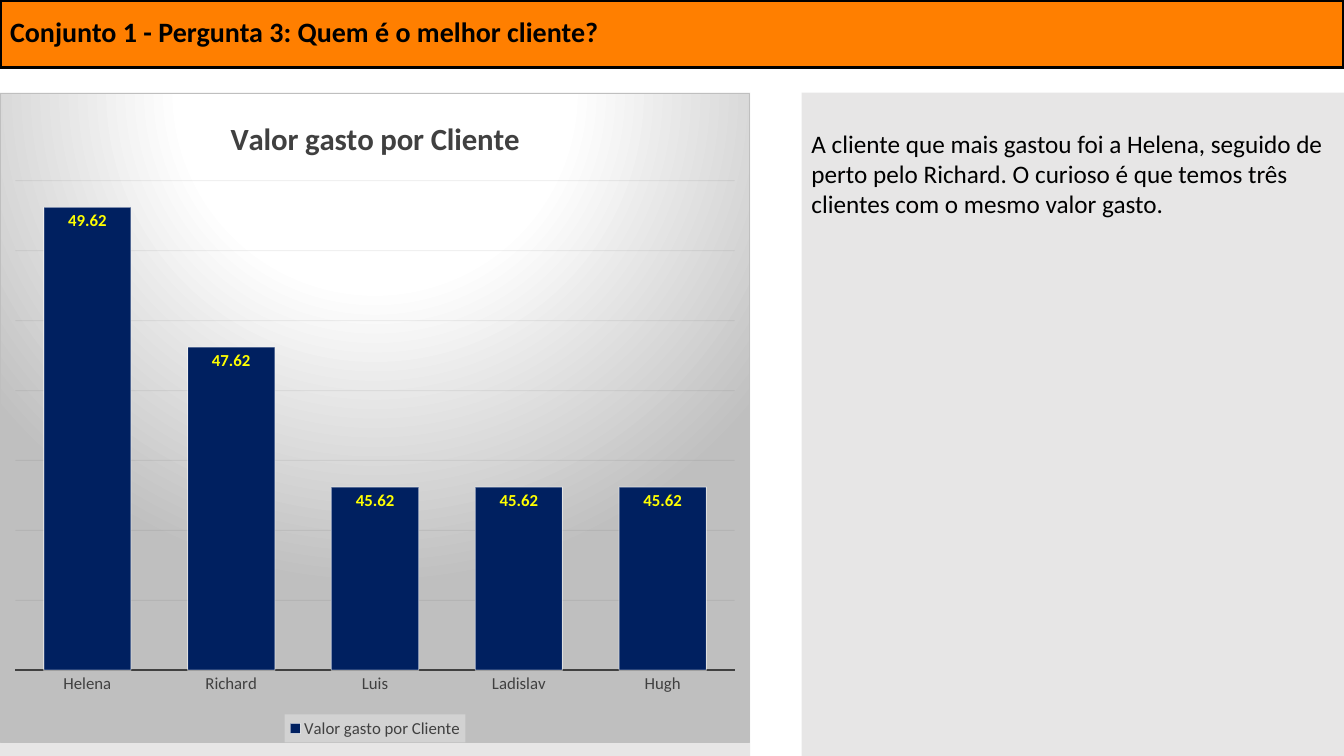
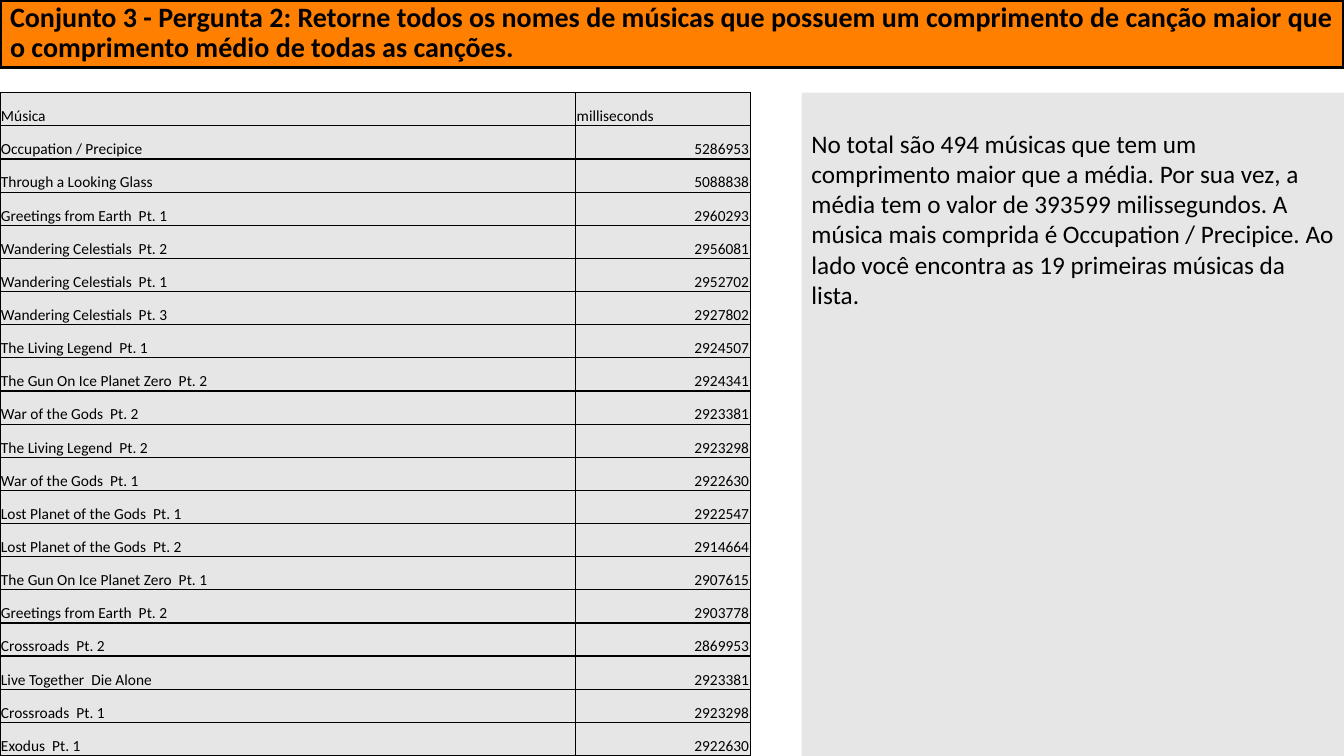
from lxml import etree
from pptx import Presentation
from pptx.chart.data import CategoryChartData
from pptx.dml.color import RGBColor
from pptx.enum.chart import XL_CHART_TYPE, XL_LABEL_POSITION, XL_LEGEND_POSITION, XL_TICK_MARK
from pptx.enum.shapes import MSO_SHAPE
from pptx.enum.text import MSO_ANCHOR, MSO_AUTO_SIZE, PP_ALIGN
from pptx.oxml import parse_xml
from pptx.oxml.ns import nsdecls, qn
from pptx.util import Inches, Pt

COLORS = {
    "band": "FF7F00",
    "panel": "E7E6E6",
    "ink": "000000",
    "axis": "404040",
    "grid": "0D0D0D",
    "bar": "002060",
    "label": "FFFF00",
    "white": "FFFFFF",
    "shade": "BFBFBF",
    "legend": "F2F2F2",
}
FONT = "Calibri"
SLIDE_WIDTH, SLIDE_HEIGHT = Inches(13.33), Inches(7.5)
BAND_BOX = (0, 0, SLIDE_WIDTH, Inches(0.67))
BODY_TOP = Inches(0.92)
BODY_HEIGHT = SLIDE_HEIGHT - BODY_TOP
DATA_BOX = (0, BODY_TOP, Inches(7.44), BODY_HEIGHT)
COMMENT_LEFT = Inches(7.95)
COMMENT_BOX = (COMMENT_LEFT, BODY_TOP, SLIDE_WIDTH - COMMENT_LEFT, BODY_HEIGHT)

SPENDING_TITLE = "Valor gasto por Cliente"
SPENDING = {"Helena": 49.62, "Richard": 47.62, "Luis": 45.62, "Ladislav": 45.62, "Hugh": 45.62}
SONGS = [
    ("Música", "milliseconds"),
    ("Occupation / Precipice", "5286953"),
    ("Through a Looking Glass", "5088838"),
    ("Greetings from Earth  Pt. 1", "2960293"),
    ("Wandering Celestials  Pt. 2", "2956081"),
    ("Wandering Celestials  Pt. 1", "2952702"),
    ("Wandering Celestials  Pt. 3", "2927802"),
    ("The Living Legend  Pt. 1", "2924507"),
    ("The Gun On Ice Planet Zero  Pt. 2", "2924341"),
    ("War of the Gods  Pt. 2", "2923381"),
    ("The Living Legend  Pt. 2", "2923298"),
    ("War of the Gods  Pt. 1", "2922630"),
    ("Lost Planet of the Gods  Pt. 1", "2922547"),
    ("Lost Planet of the Gods  Pt. 2", "2914664"),
    ("The Gun On Ice Planet Zero  Pt. 1", "2907615"),
    ("Greetings from Earth  Pt. 2", "2903778"),
    ("Crossroads  Pt. 2", "2869953"),
    ("Live Together  Die Alone", "2923381"),
    ("Crossroads  Pt. 1", "2923298"),
    ("Exodus  Pt. 1", "2922630"),
]


def rgb(name):
    """Return the named palette colour."""
    return RGBColor.from_string(COLORS[name])


def style_font(font, size, color, bold=False):
    """Apply the shared typeface with a size, colour and weight."""
    font.name, font.size, font.bold = FONT, Pt(size), bold
    font.color.rgb = rgb(color)


def paint(target, fill):
    """Fill a shape or chart part with a solid palette colour."""
    target.fill.solid()
    target.fill.fore_color.rgb = rgb(fill)


def style_line(line, color, width):
    """Set the colour and width of a line."""
    line.color.rgb = rgb(color)
    line.width = Pt(width)


def set_opacity(chart, xpath, percent):
    """Make the colours found in the chart partly transparent."""
    for color in chart.element.xpath(xpath + "//a:srgbClr"):
        etree.SubElement(color, qn("a:alpha"), val=str(percent * 1000))


def add_title_band(slide, question):
    """Turn the title placeholder into the orange question band."""
    band = slide.shapes.title
    band.left, band.top, band.width, band.height = BAND_BOX
    paint(band, "band")
    style_line(band.line, "ink", 2.25)
    frame = band.text_frame
    frame.text = question
    frame.word_wrap = True
    frame.auto_size = MSO_AUTO_SIZE.NONE
    frame.vertical_anchor = MSO_ANCHOR.MIDDLE
    heading = frame.paragraphs[0]
    heading.alignment = PP_ALIGN.LEFT
    heading.line_spacing = 0.9
    style_font(heading.runs[0].font, 20, "ink", True)


def add_panel(slide, box):
    """Draw a plain grey panel and return it."""
    panel = slide.shapes.add_shape(MSO_SHAPE.RECTANGLE, *box)
    panel.shadow.inherit = False
    paint(panel, "panel")
    panel.line.fill.background()
    return panel


def add_comment(slide, box, comment):
    """Write the answer in a grey panel."""
    frame = add_panel(slide, box).text_frame
    frame.text = comment
    frame.word_wrap = True
    frame.vertical_anchor = MSO_ANCHOR.TOP
    frame.margin_top = Inches(0.35)
    answer = frame.paragraphs[0]
    answer.alignment = PP_ALIGN.LEFT
    style_font(answer.runs[0].font, 18, "ink")


def add_chart_background(chart):
    """Give the chart area its radial gradient and border."""
    stops = "".join(
        f'<a:gs pos="{position * 1000}"><a:srgbClr val="{COLORS[name]}"/></a:gs>'
        for position, name in ((0, "white"), (39, "white"), (100, "shade"))
    )
    background = parse_xml(
        f'<c:spPr {nsdecls("c", "a")}><a:gradFill><a:gsLst>{stops}</a:gsLst>'
        '<a:path path="circle"><a:fillToRect l="50000" t="-80000" r="50000" b="180000"/></a:path>'
        f'</a:gradFill><a:ln w="{Pt(0.75)}"><a:solidFill><a:srgbClr val="{COLORS["shade"]}"/>'
        "</a:solidFill></a:ln></c:spPr>"
    )
    chart.element.find(qn("c:chart")).addnext(background)


def add_legend(chart):
    """Place the translucent legend under the plot."""
    chart.has_legend = True
    chart.legend.position = XL_LEGEND_POSITION.BOTTOM
    chart.legend.include_in_layout = False
    style_font(chart.legend.font, 12, "axis")
    backdrop = parse_xml(
        f'<c:spPr {nsdecls("c", "a")}><a:solidFill><a:srgbClr val="{COLORS["legend"]}"/>'
        "</a:solidFill></c:spPr>"
    )
    chart.element.xpath(".//c:legend/c:txPr")[0].addprevious(backdrop)
    set_opacity(chart, ".//c:legend/c:spPr", 39)


def style_axes(chart):
    """Format the client axis and hide the value axis behind its grid."""
    clients, amounts = chart.category_axis, chart.value_axis
    clients.major_tick_mark = clients.minor_tick_mark = XL_TICK_MARK.NONE
    style_font(clients.tick_labels.font, 12, "axis")
    style_line(clients.format.line, "axis", 1.5)
    amounts.minimum_scale, amounts.maximum_scale, amounts.major_unit = 43, 50, 1
    amounts.visible = False
    amounts.has_major_gridlines = True
    style_line(amounts.major_gridlines.format.line, "grid", 0.75)
    set_opacity(chart, ".//c:majorGridlines", 5)


def style_bars(chart):
    """Format the bars and their value labels."""
    plot = chart.plots[0]
    plot.gap_width = 65
    plot.vary_by_categories = False
    bars = plot.series[0]
    paint(bars.format, "bar")
    style_line(bars.format.line, "white", 0.75)
    set_opacity(chart, ".//c:ser/c:spPr/a:ln", 50)
    labels = bars.data_labels
    labels.show_value = True
    labels.position = XL_LABEL_POSITION.INSIDE_END
    labels.number_format = "#,##0.00"
    labels.number_format_is_linked = False
    style_font(labels.font, 12, "label", True)


def add_spending_chart(slide, box):
    """Draw the column chart of spending by client."""
    left, top, width, height = box
    spending = CategoryChartData(number_format="#,##0.00")
    spending.categories = list(SPENDING)
    spending.add_series(SPENDING_TITLE, list(SPENDING.values()))
    chart = slide.shapes.add_chart(
        XL_CHART_TYPE.COLUMN_CLUSTERED, left, top, width, height - Inches(0.13), spending
    ).chart
    style_font(chart.font, 10, "ink")
    chart.has_title = True
    heading = chart.chart_title.text_frame
    heading.text = SPENDING_TITLE
    style_font(heading.paragraphs[0].runs[0].font, 22, "axis", True)
    add_chart_background(chart)
    style_axes(chart)
    style_bars(chart)
    add_legend(chart)


def add_borders(cell):
    """Outline a table cell with thin black lines."""
    properties = cell._tc.get_or_add_tcPr()
    for index, side in enumerate(("lnL", "lnR", "lnT", "lnB")):
        border = parse_xml(
            f'<a:{side} {nsdecls("a")} w="{Pt(1)}"><a:solidFill>'
            f'<a:srgbClr val="{COLORS["ink"]}"/></a:solidFill></a:{side}>'
        )
        properties.insert(index, border)


def add_song_cell(cell, text, alignment):
    """Fill in one cell of the song table."""
    cell.text = text
    cell.fill.background()
    cell.vertical_anchor = MSO_ANCHOR.BOTTOM
    cell.margin_left = cell.margin_right = cell.margin_top = Inches(0.01)
    cell.margin_bottom = 0
    entry = cell.text_frame.paragraphs[0]
    entry.alignment = alignment
    style_font(entry.runs[0].font, 11, "ink")
    add_borders(cell)


def add_song_table(slide, box):
    """Draw the table of the longest songs."""
    table = slide.shapes.add_table(len(SONGS), 2, *box).table
    table.first_row = table.horz_banding = False
    table.columns[0].width = Inches(5.71)
    table.columns[1].width = box[2] - Inches(5.71)
    for row, song in enumerate(SONGS):
        table.rows[row].height = box[3] // len(SONGS)
        for column, text in enumerate(song):
            alignment = PP_ALIGN.RIGHT if row and column else PP_ALIGN.LEFT
            add_song_cell(table.cell(row, column), text, alignment)


def add_question_slide(deck, question, comment, add_data):
    """Add a slide with a question band, data on the left and the answer on the right."""
    slide = deck.slides.add_slide(deck.slide_layouts[5])
    add_title_band(slide, question)
    add_panel(slide, DATA_BOX)
    add_comment(slide, COMMENT_BOX, comment)
    add_data(slide, DATA_BOX)


def main():
    """Build and save the presentation."""
    deck = Presentation()
    deck.slide_width, deck.slide_height = SLIDE_WIDTH, SLIDE_HEIGHT
    add_question_slide(
        deck,
        "Conjunto 1 - Pergunta 3: Quem é o melhor cliente?",
        "A cliente que mais gastou foi a Helena, seguido de perto pelo Richard. "
        "O curioso é que temos três clientes com o mesmo valor gasto.",
        add_spending_chart,
    )
    add_question_slide(
        deck,
        "Conjunto 3 - Pergunta 2: Retorne todos os nomes de músicas que possuem um "
        "comprimento de canção maior que o comprimento médio de todas as canções.",
        "No total são 494 músicas que tem um comprimento maior que a média. Por sua vez, "
        "a média tem o valor de 393599 milissegundos. A música mais comprida é Occupation / "
        "Precipice. Ao lado você encontra as 19 primeiras músicas da lista.",
        add_song_table,
    )
    deck.save("out.pptx")


if __name__ == "__main__":
    main()
